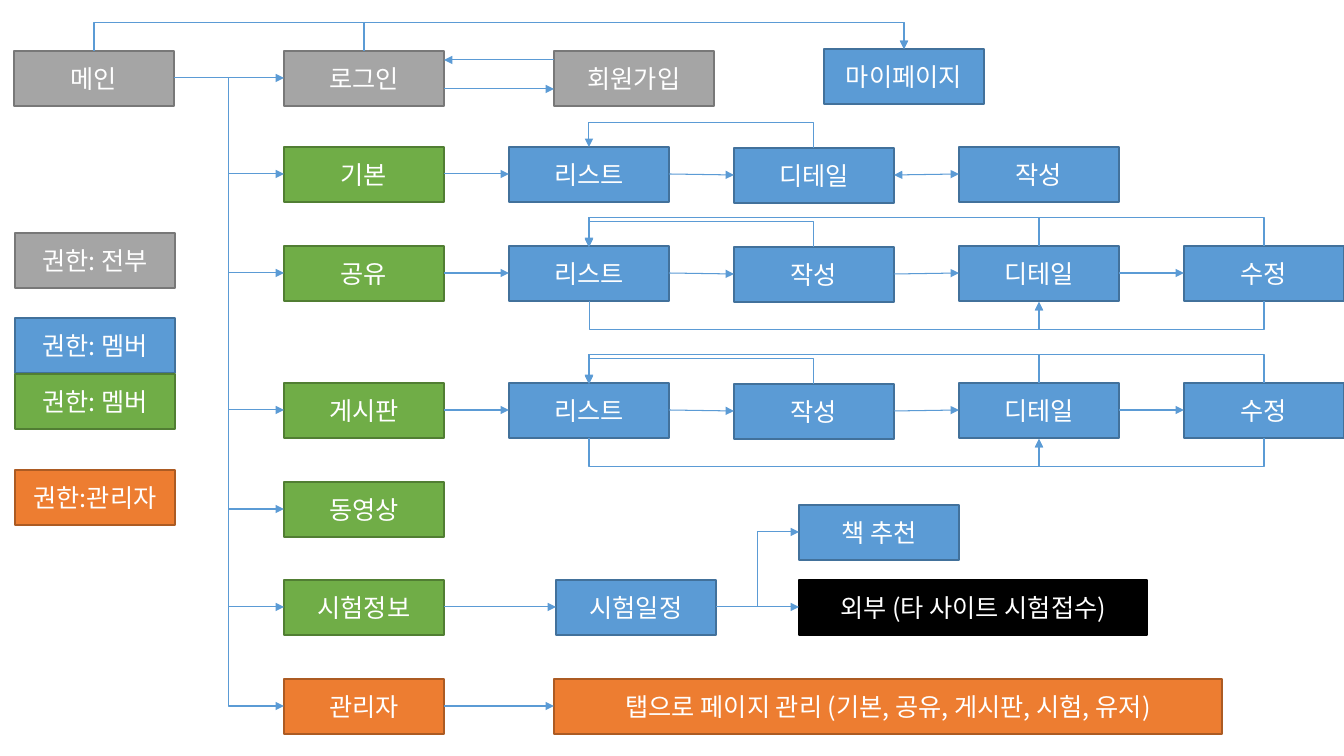
from typing import NamedTuple

from lxml import etree
from pptx import Presentation
from pptx.dml.color import RGBColor
from pptx.enum.shapes import MSO_CONNECTOR as Connector, MSO_SHAPE as Shape
from pptx.enum.text import MSO_ANCHOR as Anchor, PP_ALIGN as Align
from pptx.oxml.ns import qn
from pptx.util import Pt

PX = 914400 / 100.8
FONT = "Noto Sans CJK KR"
WHITE = RGBColor(0xFF, 0xFF, 0xFF)
BLACK = RGBColor(0, 0, 0)
ARROW_BLUE = RGBColor(0x5B, 0x9B, 0xD5)

# (fill, outline) for each access level
EVERYONE = (RGBColor(0xA5, 0xA5, 0xA5), RGBColor(0x78, 0x78, 0x78))
MEMBER = (ARROW_BLUE, RGBColor(0x42, 0x71, 0x9B))
MEMBER_MENU = (RGBColor(0x70, 0xAD, 0x47), RGBColor(0x51, 0x7E, 0x33))
ADMIN = (RGBColor(0xED, 0x7D, 0x31), RGBColor(0xAC, 0x5B, 0x23))
EXTERNAL = (BLACK, BLACK)

BOX_WIDTH, BOX_HEIGHT = 160, 55
MENU_LEFT, PAGE_STEP = 284, 225
TOP_LEFT, TOP_STEP = 14, 270


class Box(NamedTuple):
    left: int
    top: int
    width: int

    @property
    def right(self):
        return self.left + self.width

    @property
    def bottom(self):
        return self.top + BOX_HEIGHT

    @property
    def center(self):
        return self.left + self.width // 2

    @property
    def middle(self):
        return self.top + BOX_HEIGHT // 2


def emu(px):
    return round(px * PX)


def add_box(slide, text, left, top, colors, width=BOX_WIDTH):
    fill, outline = colors
    shape = slide.shapes.add_shape(
        Shape.RECTANGLE, emu(left), emu(top), emu(width), emu(BOX_HEIGHT))
    shape.shadow.inherit = False
    shape.fill.solid()
    shape.fill.fore_color.rgb = fill
    shape.line.color.rgb = outline
    shape.line.width = Pt(1)
    frame = shape.text_frame
    frame.word_wrap = True
    frame.vertical_anchor = Anchor.MIDDLE
    paragraph = frame.paragraphs[0]
    paragraph.alignment = Align.CENTER
    run = paragraph.add_run()
    run.text = text
    run.font.size = Pt(18)
    run.font.name = FONT
    run.font.color.rgb = WHITE
    east_asian = etree.SubElement(run.font._element, qn("a:ea"))
    east_asian.set("typeface", FONT)
    return Box(left, top, width)


def add_arrow(slide, start, end, kind=Connector.STRAIGHT, weight=0.75, both=False):
    connector = slide.shapes.add_connector(kind, *map(emu, (*start, *end)))
    connector.line.color.rgb = ARROW_BLUE
    connector.line.width = Pt(weight)
    line = connector.line._get_or_add_ln()
    for tag in ("a:headEnd", "a:tailEnd") if both else ("a:tailEnd",):
        etree.SubElement(line, qn(tag)).set("type", "triangle")
    etree.SubElement(connector._element.spPr, qn("a:effectLst"))
    return connector


def add_next(slide, source, target, both=False):
    """Arrow from the right side of one box to the left side of another."""
    add_arrow(slide, (source.right, source.middle), (target.left, target.middle), both=both)


def add_branch(slide, source, target):
    add_arrow(slide, (source.right, source.middle), (target.left, target.middle),
              Connector.ELBOW)


def add_loop(slide, start, end, level, weight=0.75):
    """Elbow that leaves vertically, runs along y = level and comes back."""
    (x1, y1), (x2, y2) = start, end
    rise = (y2 - y1) or 1
    length, span = abs(rise), abs(x2 - x1)
    left = (x1 + x2 - length) / 2
    top = (2 * y1 + rise - span) / 2
    connector = add_arrow(slide, (left, top), (left + length, top + span),
                          Connector.ELBOW, weight)
    properties = connector._element.spPr
    transform = properties.find(qn("a:xfrm"))
    rightward = x2 > x1
    transform.set("rot", str((270 if rightward else 90) * 60000))
    if rightward == (rise > 0):
        transform.set("flipH", "1")
    adjustments = properties.find(qn("a:prstGeom")).get_or_add_avLst()
    guide = etree.SubElement(adjustments, qn("a:gd"))
    guide.set("name", "adj1")
    guide.set("fmla", f"val {round((level - y1) / rise * 100000)}")


def add_top_loop(slide, source, target, level):
    add_loop(slide, (source.center, source.top), (target.center, target.top), level)


def add_pages(slide, menu, labels):
    """Row of member pages to the right of a menu box; the second sits 1 px lower."""
    return [add_box(slide, label, MENU_LEFT + PAGE_STEP * column,
                    menu.top + (column == 2), MEMBER)
            for column, label in enumerate(labels, 1)]


def add_editing_row(slide, menu, weight):
    pages = add_pages(slide, menu, ("리스트", "작성", "디테일", "수정"))
    listing, writing, detail, editing = pages
    for source, target in zip([menu, *pages], pages):
        add_next(slide, source, target)
    add_top_loop(slide, writing, listing, menu.top - 25)
    for page in (detail, editing):
        add_top_loop(slide, page, listing, menu.top - 29)
    for page in (listing, editing):
        add_loop(slide, (page.center, page.bottom), (detail.center, detail.bottom),
                 menu.bottom + 29, weight)


def add_top_row(slide):
    main_page, login, join = (
        add_box(slide, label, TOP_LEFT + TOP_STEP * column, 51, EVERYONE)
        for column, label in enumerate(("메인", "로그인", "회원가입")))
    my_page = add_box(slide, "마이페이지", TOP_LEFT + TOP_STEP * 3, 49, MEMBER)
    add_next(slide, main_page, login)
    add_arrow(slide, (login.right, 89), (join.left, 89))
    add_arrow(slide, (join.left, 60), (login.right, 60))
    for page in (main_page, login):
        add_top_loop(slide, page, my_page, 22)
    return main_page


def add_basic_row(slide, menu):
    listing, detail, writing = add_pages(slide, menu, ("리스트", "디테일", "작성"))
    add_next(slide, menu, listing)
    add_next(slide, listing, detail)
    add_next(slide, detail, writing, both=True)
    add_top_loop(slide, detail, listing, menu.top - 25)


def add_exam_row(slide, menu):
    schedule = add_box(slide, "시험일정", 556, menu.top, MEMBER)
    books = add_box(slide, "책 추천", 799, 505, MEMBER)
    booking = add_box(slide, "외부 (타 사이트 시험접수)", 799, menu.top, EXTERNAL, 348)
    add_next(slide, menu, schedule)
    add_next(slide, schedule, booking)
    add_branch(slide, schedule, books)


def add_legend(slide):
    for label, top, colors in (("권한: 전부", 233, EVERYONE), ("권한: 멤버", 318, MEMBER),
                               ("권한: 멤버", 374, MEMBER_MENU), ("권한:관리자", 470, ADMIN)):
        add_box(slide, label, 15, top, colors)


def main():
    presentation = Presentation()
    presentation.slide_width, presentation.slide_height = emu(1344), emu(756)
    slide = presentation.slides.add_slide(presentation.slide_layouts[6])

    main_page = add_top_row(slide)
    menus = [add_box(slide, label, MENU_LEFT, top, colors) for label, top, colors in (
        ("기본", 147, MEMBER_MENU), ("공유", 246, MEMBER_MENU), ("게시판", 383, MEMBER_MENU),
        ("동영상", 482, MEMBER_MENU), ("시험정보", 580, MEMBER_MENU), ("관리자", 679, ADMIN))]
    for menu in menus:
        add_branch(slide, main_page, menu)

    basic, sharing, board, _, exam, admin = menus
    add_basic_row(slide, basic)
    add_editing_row(slide, sharing, 0.75)
    add_editing_row(slide, board, 1)
    add_exam_row(slide, exam)
    tabs = add_box(slide, "탭으로 페이지 관리 (기본, 공유, 게시판, 시험, 유저)",
                   554, admin.top, ADMIN, 668)
    add_next(slide, admin, tabs)
    add_legend(slide)
    presentation.save("out.pptx")


if __name__ == "__main__":
    main()
